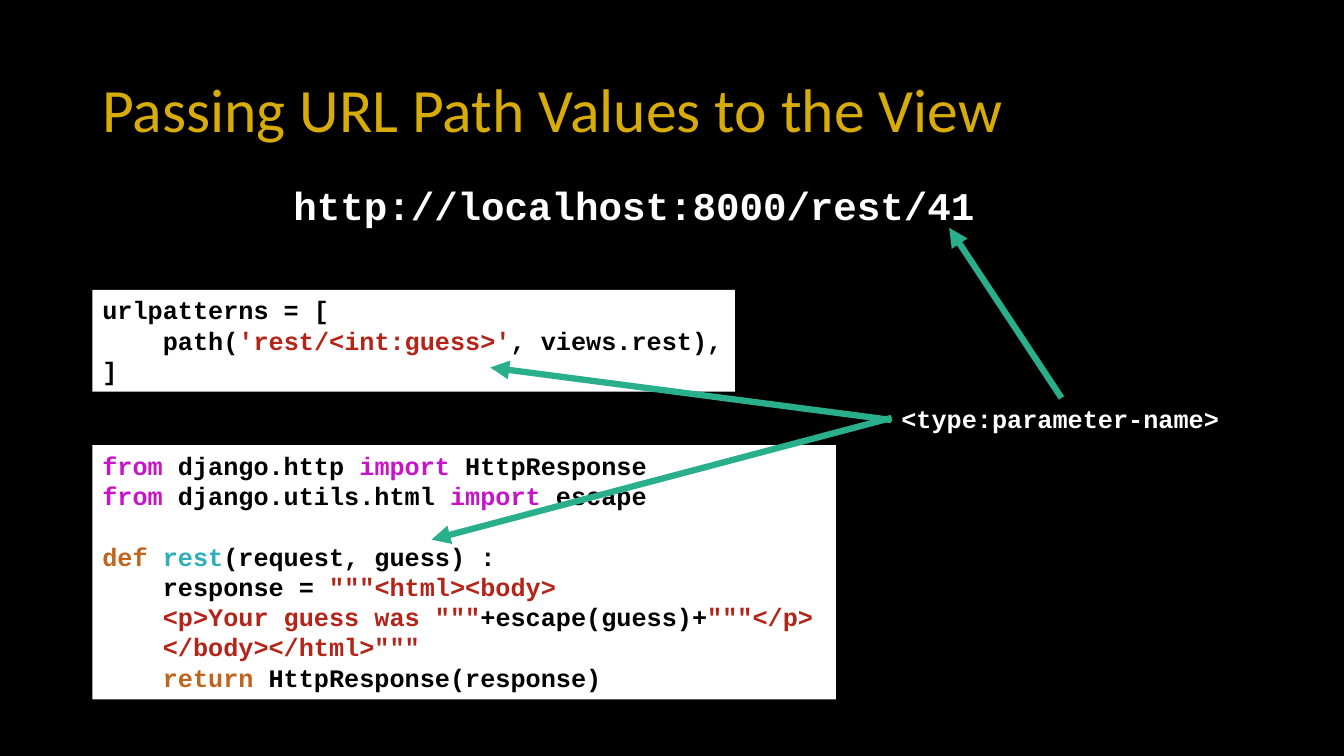
from dataclasses import dataclass

from lxml.etree import SubElement
from pptx import Presentation
from pptx.dml.color import RGBColor
from pptx.enum.shapes import MSO_CONNECTOR
from pptx.enum.text import MSO_ANCHOR
from pptx.oxml.ns import qn
from pptx.util import Pt


@dataclass(frozen=True)
class Theme:
    """Colours, fonts and type sizes of the slide."""
    back: str = "000000"
    paper: str = "FFFFFF"
    gold: str = "D7AC08"
    arrow: str = "29AF8C"
    plain: str = "000000"
    string: str = "B42419"
    module: str = "C814C9"
    keyword: str = "C1651C"
    function: str = "2EAEBB"
    heading_font: str = "Calibri"
    code_font: str = "Courier New"
    title_size: int = 44
    url_size: int = 28
    code_size: int = 18
    arrow_width: float = 4.5


def rgb(value):
    """Turn a hex string into a colour."""
    return RGBColor.from_string(value)


class Deck:
    """Hold the theme and the current slide, and draw elements in px."""
    PX = 9525

    def __init__(self, theme):
        """Open a presentation with one blank slide."""
        self.theme = theme
        self.prs = Presentation()
        self.prs.slide_width, self.prs.slide_height = self.px(1280, 720)
        self.s = self.prs.slides.add_slide(self.prs.slide_layouts[6])
        fill = self.s.background.fill
        fill.solid()
        fill.fore_color.rgb = rgb(theme.back)

    def px(self, *lengths):
        """Turn px into EMU."""
        return [n * self.PX for n in lengths]

    def style(self, r, font, size, color, bold):
        """Format one run."""
        r.font.name = font
        r.font.size = Pt(size)
        r.font.bold = bold
        r.font.color.rgb = rgb(color)

    def title(self, box, text):
        """Add the slide title."""
        t = self.theme
        tf = self.s.shapes.add_textbox(*self.px(*box)).text_frame
        tf.word_wrap = True
        tf.vertical_anchor = MSO_ANCHOR.MIDDLE
        tf.text = text
        p = tf.paragraphs[0]
        p.line_spacing = 0.9
        self.style(p.runs[0], t.heading_font, t.title_size, t.gold, False)

    def label(self, box, text, size):
        """Add a line of white monospaced text."""
        tf = self.s.shapes.add_textbox(*self.px(*box)).text_frame
        tf.word_wrap = False
        tf.text = text
        self.style(tf.paragraphs[0].runs[0], self.theme.code_font, size,
                   self.theme.paper, True)

    def code(self, box, lines):
        """Add a white panel of coloured code, one list of parts a line."""
        t = self.theme
        sp = self.s.shapes.add_textbox(*self.px(*box))
        sp.fill.solid()
        sp.fill.fore_color.rgb = rgb(t.paper)
        tf = sp.text_frame
        tf.word_wrap = False
        for i, line in enumerate(lines):
            p = tf.add_paragraph() if i else tf.paragraphs[0]
            for text, color in line:
                r = p.add_run()
                r.text = text
                self.style(r, t.code_font, t.code_size, color, True)
            if not line:
                end = SubElement(p._p, qn("a:endParaRPr"),
                                 sz=str(t.code_size * 100), b="1")
                SubElement(end, qn("a:latin"), typeface=t.code_font)

    def arrow(self, start, end):
        """Add a line with an arrowhead at its end."""
        c = self.s.shapes.add_connector(MSO_CONNECTOR.STRAIGHT,
                                        *self.px(*start, *end))
        c.line.color.rgb = rgb(self.theme.arrow)
        c.line.width = Pt(self.theme.arrow_width)
        SubElement(c.line._get_or_add_ln(), qn("a:tailEnd"), type="triangle")
        SubElement(c._element.spPr, qn("a:effectLst"))


def main():
    """Build and save the slide."""
    t = Theme()
    deck = Deck(t)
    deck.title((88, 38, 1104, 139), "Passing URL Path Values to the View")
    deck.code((88, 276, 612, 97), [
        [("urlpatterns = [", t.plain)],
        [("    path(", t.plain), ("'rest/<int:guess>'", t.string),
         (", views.rest),", t.plain)],
        [("]", t.plain)],
    ])
    imports = [("django.http ", "HttpResponse"), ("django.utils.html ", "escape")]
    deck.code((88, 424, 708, 242), [
        *[[("from ", t.module), (module, t.plain), ("import ", t.module),
           (name, t.plain)] for module, name in imports],
        [],
        [("def ", t.keyword), ("rest", t.function),
         ("(request, guess) :", t.plain)],
        [("    response = ", t.plain), ('"""<html><body>', t.string)],
        [('    <p>Your guess was """', t.string),
         ("+escape(guess)+", t.plain), ('"""</p>', t.string)],
        [('    </body></html>"""', t.string)],
        [("    ", t.plain), ("return ", t.keyword),
         ("HttpResponse(response)", t.plain)],
    ])
    deck.label((270, 168, 673, 55), "http://localhost:8000/rest/41", t.url_size)
    deck.label((849, 379, 324, 38), "<type:parameter-name>", t.code_size)
    deck.arrow((849, 398), (411, 514))
    deck.arrow((849, 400), (467, 350))
    deck.arrow((1011, 379), (904, 217))
    deck.prs.save("out.pptx")


if __name__ == "__main__":
    main()
